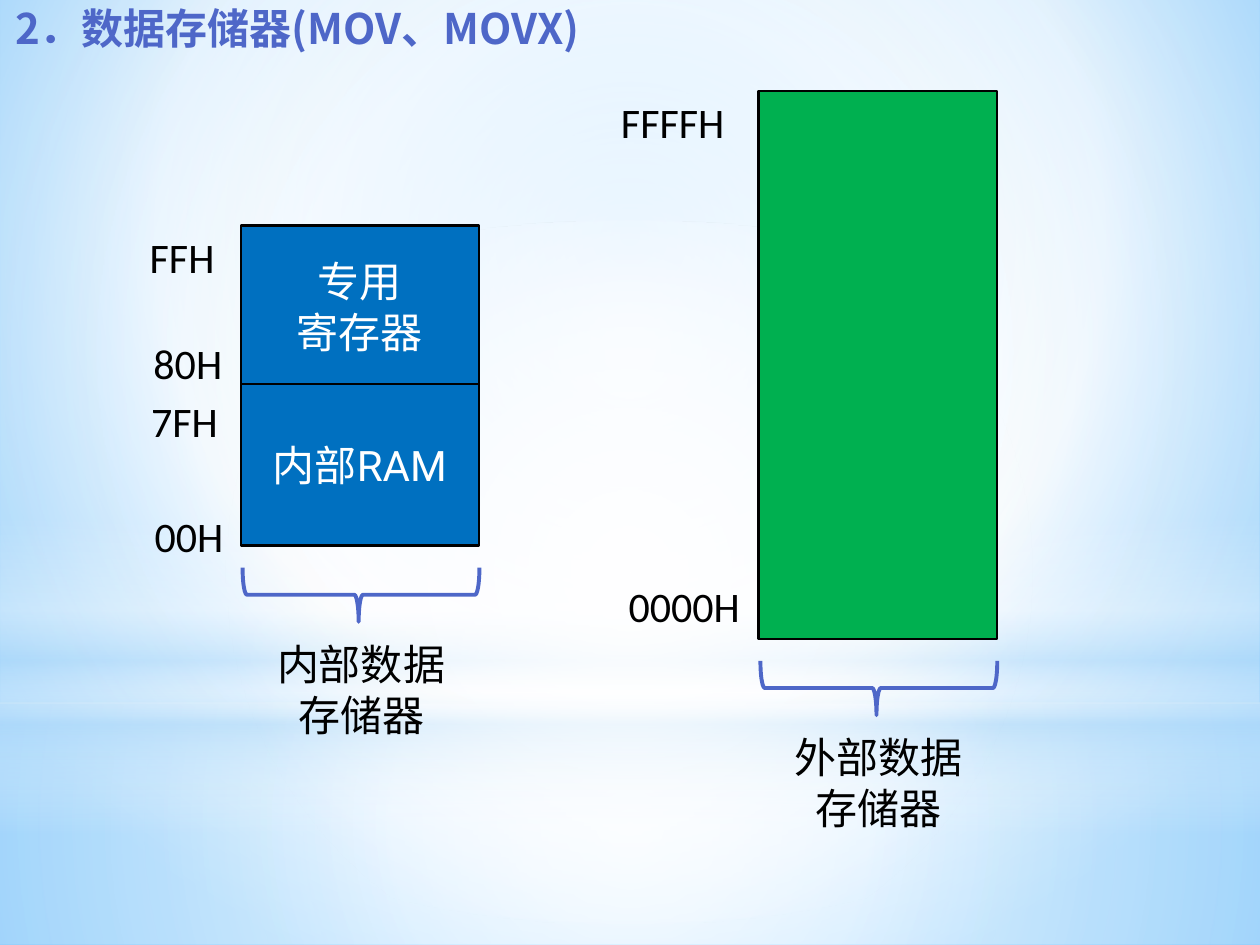
import pptx
import pptx.util
import pptx.dml.color
import pptx.enum.shapes
import pptx.enum.text
import pptx.oxml
import pptx.oxml.ns

COLORS = {
    "title": "4E67C8", "internal": "0070C0", "external": "00B050",
    "ink": "000000", "light": "FFFFFF",
    "sky": "9ED5FF", "deep": "5BB9FF", "haze": "B4DCFA",
}
CJK = "Noto Sans CJK SC"
SHAPES = pptx.enum.shapes.MSO_SHAPE
ANCHOR = pptx.enum.text.MSO_ANCHOR
ALIGN = pptx.enum.text.PP_ALIGN
qn = pptx.oxml.ns.qn


def write(frame, text, font="Calibri", color="ink", align=ALIGN.LEFT,
          anchor=ANCHOR.TOP, bold=False, wrap=False, spacing=1.0):
    frame.word_wrap = wrap
    frame.auto_size = pptx.enum.text.MSO_AUTO_SIZE.NONE
    frame.vertical_anchor = anchor
    frame.margin_left = frame.margin_right = pptx.util.Inches(0.1)
    frame.margin_top = frame.margin_bottom = pptx.util.Inches(0.05)
    frame.text = text
    for paragraph in frame.paragraphs:
        paragraph.alignment = align
        paragraph.line_spacing = spacing
        paragraph.space_before = pptx.util.Pt(0)
        for run in paragraph.runs:
            run.font.size = pptx.util.Pt(24)
            run.font.name = font
            run.font.bold = bold
            run.font.color.rgb = pptx.dml.color.RGBColor.from_string(COLORS[color])
            east_asian = pptx.oxml.parse_xml(
                f'<a:ea {pptx.oxml.ns.nsdecls("a")} typeface="{CJK}"/>')
            run.font._element.find(qn("a:latin")).addnext(east_asian)


def paint_gradient(holder, stops, focus):
    marks = "".join(
        f'<a:gs pos="{position * 1000}"><a:srgbClr val="{COLORS[color]}">'
        f'<a:alpha val="{opacity * 1000}"/></a:srgbClr></a:gs>'
        for position, color, opacity in stops)
    if focus:
        sides = " ".join(f'{side}="{share * 1000}"' for side, share in zip("ltrb", focus))
        direction = f'<a:path path="circle"><a:fillToRect {sides}/></a:path>'
    else:
        direction = '<a:lin ang="5400000" scaled="0"/>'
    gradient = pptx.oxml.parse_xml(
        f'<a:gradFill {pptx.oxml.ns.nsdecls("a")} rotWithShape="1">'
        f'<a:gsLst>{marks}</a:gsLst>{direction}</a:gradFill>')
    holder.replace(holder.find(qn("a:solidFill")), gradient)


deck = pptx.Presentation()
deck.slide_width = pptx.util.Inches(10)
deck.slide_height = pptx.util.Inches(7.5)
col = deck.slide_width / 100
row = deck.slide_height / 75
slide = deck.slides.add_slide(deck.slide_layouts[5])

slide.background.fill.solid()
paint_gradient(slide.element.find(".//" + qn("p:bgPr")),
               [(0, "sky", 100), (60, "light", 100), (100, "deep", 100)],
               (20, 10, 20, 60))

center = (50, 50, 50, 50)
glows = [
    (SHAPES.RECTANGLE, 55.8, 19.2, center,
     [(0, "light", 91), (37, "light", 76), (100, "haze", 79)]),
    (SHAPES.RECTANGLE, 0, 55.8, center,
     [(0, "light", 89), (48, "light", 62), (100, "haze", 79)]),
    (SHAPES.RECTANGLE, 41.2, 25, None,
     [(0, "light", 0), (29, "light", 30), (45, "haze", 40),
      (55, "light", 26), (65, "haze", 60), (100, "light", 0)]),
    (SHAPES.OVAL, 17.5, 55.8, center, [(0, "light", 100), (56, "light", 0)]),
]
for outline, top, height, focus, stops in glows:
    glow = slide.shapes.add_shape(outline, 0, int(top * row), deck.slide_width, int(height * row))
    glow.shadow.inherit = False
    glow.line.fill.background()
    glow.fill.solid()
    paint_gradient(glow.element.spPr, stops, focus)

title = slide.shapes.title
title.left, title.top, title.width, title.height = (
    int(0.2 * col), 0, int(68.4 * col), int(6.2 * row))
write(title.text_frame, "2．数据存储器(MOV、MOVX)", font=CJK, color="title",
      bold=True, wrap=True, spacing=0.95)
slide.shapes._spTree.append(title.element)

blocks = [
    (19.1, 17.9, 12.8, "internal", "专用\n寄存器"),
    (19.1, 30.5, 12.8, "internal", "内部RAM"),
    (60.2, 7.2, 43.5, "external", ""),
]
for left, top, height, color, caption in blocks:
    block = slide.shapes.add_shape(SHAPES.RECTANGLE, int(left * col), int(top * row),
                                   int(18.9 * col), int(height * row))
    block.shadow.inherit = False
    block.fill.solid()
    block.fill.fore_color.rgb = pptx.dml.color.RGBColor.from_string(COLORS[color])
    block.line.color.rgb = pptx.dml.color.RGBColor.from_string(COLORS["ink"])
    block.line.width = pptx.util.Pt(1.25)
    if caption:
        write(block.text_frame, caption, font="Roboto", color="light",
              align=ALIGN.CENTER, anchor=ANCHOR.MIDDLE, wrap=True)

addresses = [
    ("FFH", 10.9, 17.9, 8.3), ("80H", 11.2, 26.3, 8), ("7FH", 11, 30.9, 8.1),
    ("00H", 11.3, 40, 8), ("FFFFH", 48.3, 7.2, 11.8), ("0000H", 48.9, 45.6, 11.3),
]
for address, left, top, width in addresses:
    label = slide.shapes.add_textbox(int(left * col), int(top * row), int(width * col), int(5 * row))
    write(label.text_frame, address)

memories = [("内部数据\n存储器", 28.65, 37.8), ("外部数据\n存储器", 69.75, 45.2)]
for memory, middle, top in memories:
    brace = slide.shapes.add_shape(SHAPES.LEFT_BRACE, int((middle - 2.15) * col), int(top * row),
                                   int(4.3 * col), int(18.8 * row))
    brace.rotation = 270
    brace.adjustments[0], brace.adjustments[1] = 0.08, 0.49
    brace.shadow.inherit = False
    brace.fill.background()
    brace.line.color.rgb = pptx.dml.color.RGBColor.from_string(COLORS["title"])
    brace.line.width = pptx.util.Pt(2.25)
    label = slide.shapes.add_textbox(int((middle - 7.75) * col), int((top + 12.4) * row),
                                     int(15.5 * col), int(9.1 * row))
    write(label.text_frame, memory, align=ALIGN.CENTER)

deck.save("out.pptx")
